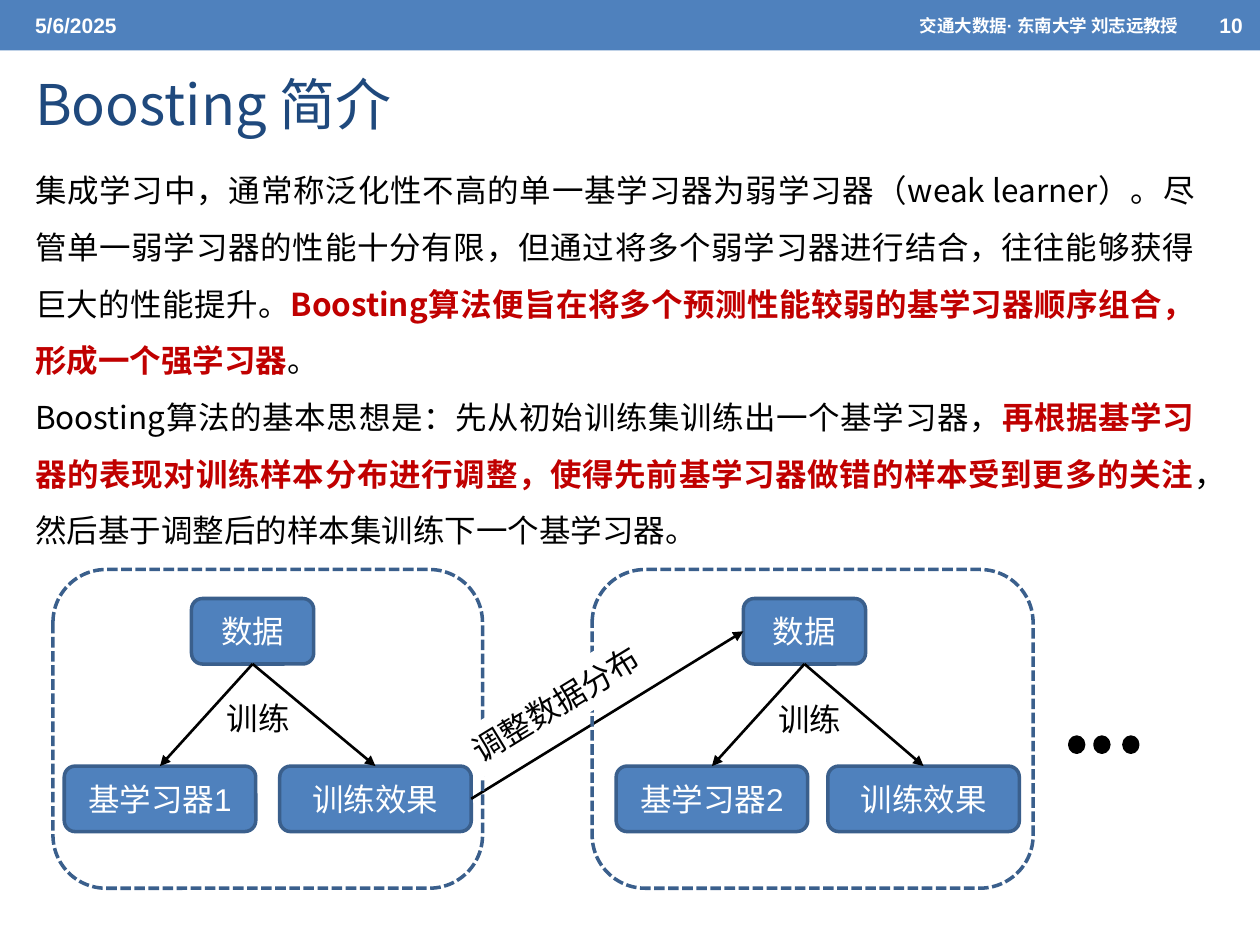
"""Build a slide that introduces the Boosting algorithm."""
from lxml import etree
from pptx import Presentation
from pptx.dml.color import RGBColor
from pptx.enum import dml, shapes, text
from pptx.oxml import ns
from pptx.util import Inches, Pt

BLUE = RGBColor(0x4F, 0x81, 0xBD)
EDGE = RGBColor(0x3A, 0x5F, 0x8C)
NAVY = RGBColor(0x1F, 0x49, 0x7D)
RED = RGBColor(0xC0, 0x00, 0x00)
BLACK = RGBColor(0, 0, 0)
WHITE = RGBColor(0xFF, 0xFF, 0xFF)
LATIN, CHINESE = "Arial", "Noto Sans CJK SC"
KIND, ALIGN = shapes.MSO_SHAPE, text.PP_ALIGN

HEADER = [
    ("5/6/2025", 0.18, 3.17, 12, ALIGN.LEFT),
    ("10", 9.58, 0.42, 12, ALIGN.LEFT),
    ("交通大数据· 东南大学 刘志远教授", 4.17, 5.28, 10, ALIGN.RIGHT),
]
TITLE = "Boosting 简介"
BODY = [
    [
        ("集成学习中，通常称泛化性不高的单一基学习器为弱学习器（weak learner）。"
         "尽管单一弱学习器的性能十分有限，但通过将多个弱学习器进行结合，"
         "往往能够获得巨大的性能提升。", False),
        ("Boosting算法便旨在将多个预测性能较弱的基学习器顺序组合，"
         "形成一个强学习器", True),
        ("。", False),
    ],
    [
        ("Boosting算法的基本思想是：先从初始训练集训练出一个基学习器，", False),
        ("再根据基学习器的表现对训练样本分布进行调整，"
         "使得先前基学习器做错的样本受到更多的关注", True),
        ("，然后基于调整后的样本集训练下一个基学习器。", False),
    ],
]
STAGES = [
    {"frame": (0.42, 3.41), "data": 1.52, "learner": 0.51, "effect": 2.22,
     "name": "基学习器1", "label": (1.7, 5.5)},
    {"frame": (4.7, 3.5), "data": 5.9, "learner": 4.89, "effect": 6.57,
     "name": "基学习器2", "label": (6.08, 5.51)},
]
DOTS = [8.49, 8.69, 8.92]
TOP, BOTTOM, LEFT, RIGHT = 0, 2, 1, 3


def style(span, size, color, font=CHINESE, bold=False):
    span.font.size, span.font.bold, span.font.name = Pt(size), bold, font
    span.font.color.rgb = color
    properties = span.font._element
    properties.set("lang", "zh-CN")
    etree.SubElement(properties, ns.qn("a:ea")).set("typeface", CHINESE)


def write(box, words, size, color, font=CHINESE, bold=False,
          align=ALIGN.LEFT, anchor=text.MSO_ANCHOR.MIDDLE):
    frame = box.text_frame
    frame.text, frame.word_wrap, frame.vertical_anchor = words, True, anchor
    para = frame.paragraphs[0]
    para.alignment = align
    style(para.runs[0], size, color, font, bold)


def add_text(page, place, words, size, color, **options):
    box = page.shapes.add_textbox(*map(Inches, place))
    write(box, words, size, color, **options)
    return box


def add_shape(page, kind, place, fill=None, line=None):
    shape = page.shapes.add_shape(kind, *map(Inches, place))
    shape.shadow.inherit = False
    if fill is None:
        shape.fill.background()
    else:
        shape.fill.solid()
        shape.fill.fore_color.rgb = fill
    if line is None:
        shape.line.fill.background()
    else:
        shape.line.color.rgb, shape.line.width = line, Pt(2)
    return shape


def add_node(page, left, top, width, words):
    node = add_shape(page, KIND.ROUNDED_RECTANGLE, (left, top, width, 0.52), BLUE, EDGE)
    write(node, words, 18, WHITE, font=LATIN, align=ALIGN.CENTER)
    return node


def add_arrow(page, start, start_side, end, end_side):
    arrow = page.shapes.add_connector(shapes.MSO_CONNECTOR.STRAIGHT, 0, 0, 0, 0)
    arrow.begin_connect(start, start_side)
    arrow.end_connect(end, end_side)
    arrow.line.color.rgb, arrow.line.width = BLACK, Pt(1.5)
    head = etree.SubElement(arrow.line._get_or_add_ln(), ns.qn("a:tailEnd"))
    head.set("type", "triangle")
    etree.SubElement(arrow._element.spPr, ns.qn("a:effectLst"))


def add_body(page):
    frame = page.shapes.add_textbox(*map(Inches, (0.18, 1.16, 9.4, 3.23))).text_frame
    frame.word_wrap = True
    for index, pieces in enumerate(BODY):
        para = frame.add_paragraph() if index else frame.paragraphs[0]
        para.alignment, para.line_spacing = ALIGN.JUSTIFY, 1.5
        for words, strong in pieces:
            span = para.add_run()
            span.text = words
            style(span, 18, RED if strong else BLACK, bold=strong)


def add_diagram(page):
    nodes = [
        (add_node(page, stage["data"], 4.75, 0.97, "数据"),
         add_node(page, stage["learner"], 6.08, 1.52, stage["name"]),
         add_node(page, stage["effect"], 6.08, 1.52, "训练效果"))
        for stage in STAGES
    ]
    add_arrow(page, nodes[0][2], RIGHT, nodes[1][0], LEFT)
    for data, learner, effect in nodes:
        add_arrow(page, data, BOTTOM, learner, TOP)
        add_arrow(page, data, BOTTOM, effect, TOP)
    for stage in STAGES:
        left, width = stage["frame"]
        frame = add_shape(page, KIND.ROUNDED_RECTANGLE, (left, 4.52, width, 2.53), line=EDGE)
        frame.line.dash_style = dml.MSO_LINE.SQUARE_DOT
    for left in DOTS:
        add_shape(page, KIND.OVAL, (left, 5.85, 0.11, 0.12), BLACK, BLACK)
    link = add_shape(page, KIND.RECTANGLE, (3.56, 5.38, 1.72, 0.4), WHITE)
    write(link, "调整数据分布", 18, BLACK, anchor=text.MSO_ANCHOR.TOP)
    link.text_frame.word_wrap = False
    link.rotation = 328.5
    for stage in STAGES:
        add_text(page, (*stage["label"], 0.72, 0.4), "训练", 18, BLACK,
                 anchor=text.MSO_ANCHOR.TOP)


def main():
    deck = Presentation()
    deck.slide_width, deck.slide_height = Inches(10), Inches(7.5)
    page = deck.slides.add_slide(deck.slide_layouts[6])
    add_shape(page, KIND.RECTANGLE, (0, 0, 10, 0.4), BLUE)
    for words, left, width, size, align in HEADER:
        add_text(page, (left, 0.02, width, 0.36), words, size, WHITE,
                 font=LATIN, bold=True, align=align)
    add_text(page, (0.18, 0.28, 9, 1.08), TITLE, 32, NAVY)
    add_body(page)
    add_diagram(page)
    deck.save("out.pptx")


if __name__ == "__main__":
    main()
